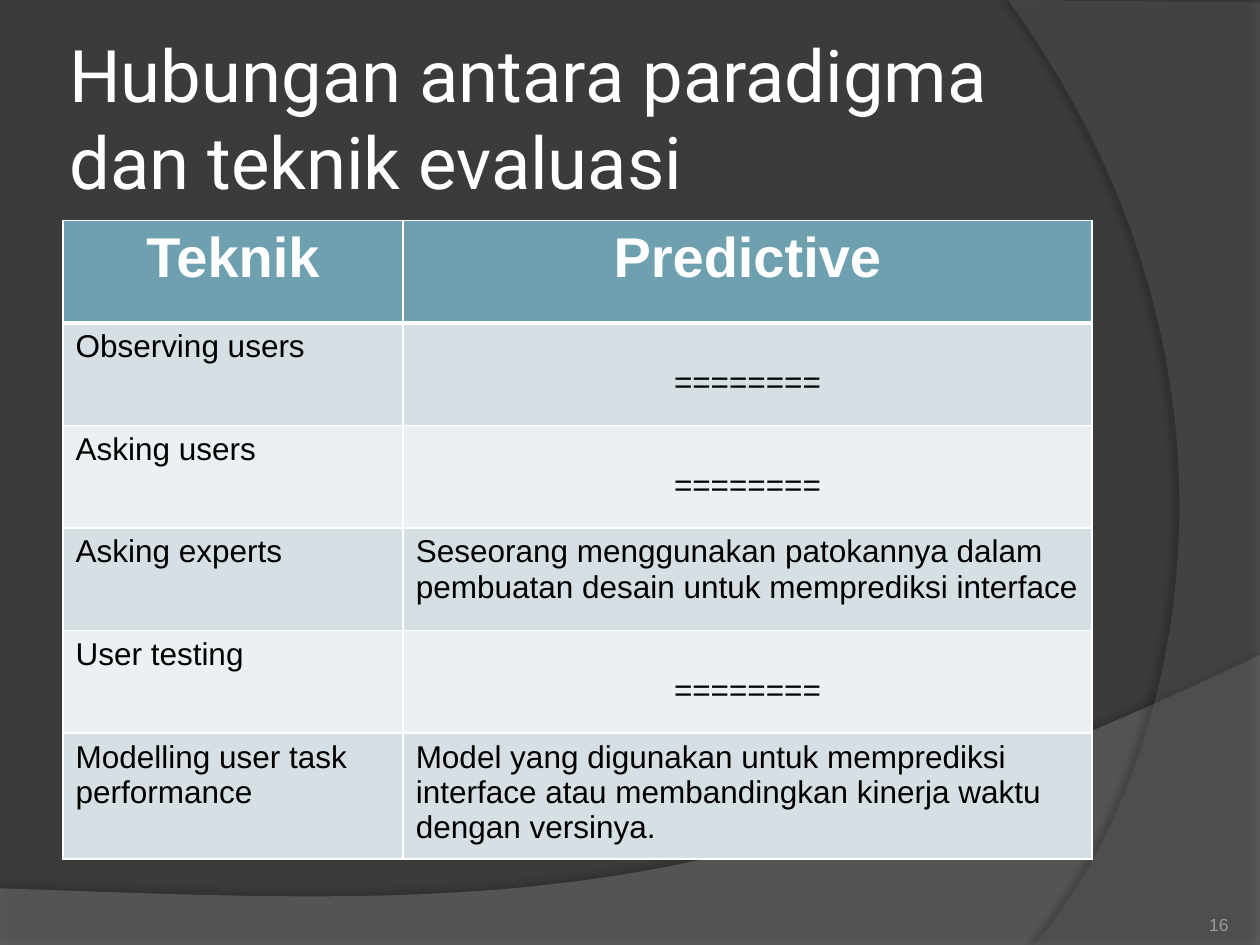
from typing import NamedTuple

from lxml.etree import SubElement
from pptx import Presentation
from pptx.dml.color import RGBColor
from pptx.enum.text import MSO_ANCHOR, MSO_AUTO_SIZE, PP_ALIGN
from pptx.oxml.ns import qn
from pptx.util import Pt

COLORS = {
    "bg": "3B3B3B", "wave": "7F7F7F", "arc": "5E5E5E", "shadow": "000000",
    "white": "FFFFFF", "text": "000000", "number": "9B9A98",
    "header": "6EA0B0", "odd": "D5DFE4", "even": "EBF0F2",
}
COL_WIDTHS = (194.4, 393.6)
ROW_HEIGHTS = (58.6,) * 5 + (72,)
NONE_MARK = "========"
Point = tuple[float, float]


class Curve(NamedTuple):
    corners: list[Point]
    bezier: tuple[Point, Point, Point, Point]
    color: str
    opacity: int
    shadow_opacity: int
    shadow_dist: float
    shadow_angle: int


class Technique(NamedTuple):
    name: str
    predictive: str = NONE_MARK


CURVES = [
    Curve([(0, 540), (720, 540)],
          ((720, 374.4), (402.5, 524.9), (281.5, 517.7), (0, 507.6)),
          "wave", 45, 35, 3.5, 270),
    Curve([(720, 1.4), (720, 540)],
          ((591, 540), (673.2, 445.7), (733, 216), (576, 0)),
          "arc", 40, 45, 4, 180),
]
TECHNIQUES = [
    Technique("Observing users"),
    Technique("Asking users"),
    Technique("Asking experts", "Seseorang menggunakan patokannya dalam "
              "pembuatan desain untuk memprediksi interface"),
    Technique("User testing"),
    Technique("Modelling user task performance", "Model yang digunakan untuk memprediksi "
              "interface atau membandingkan kinerja waktu dengan versinya."),
]


def rgb(name: str) -> RGBColor:
    return RGBColor.from_string(COLORS[name])


def add_color(parent, name: str, opacity: int = 100) -> None:
    clr = SubElement(parent, qn("a:srgbClr"), val=COLORS[name])
    if opacity < 100:
        SubElement(clr, qn("a:alpha"), val=str(opacity * 1000))


def write(tf, text: str, *, size: float, color: str, font: str = "Arial",
          bold: bool = False, align=PP_ALIGN.LEFT) -> None:
    p = tf.paragraphs[0]
    p.alignment = align
    r = p.add_run()
    r.text = text
    r.font.name, r.font.size, r.font.bold = font, Pt(size), bold
    r.font.color.rgb = rgb(color)


def set_frame(tf, margin: float, anchor) -> None:
    tf.word_wrap = True
    tf.auto_size = MSO_AUTO_SIZE.NONE
    tf.vertical_anchor = anchor
    tf.margin_left = tf.margin_right = tf.margin_top = tf.margin_bottom = Pt(margin)


def bezier_points(bezier: tuple[Point, ...], steps: int = 60) -> list[Point]:
    points = []
    for i in range(steps + 1):
        t = i / steps
        weights = ((1 - t) ** 3, 3 * t * (1 - t) ** 2, 3 * t * t * (1 - t), t ** 3)
        points.append(tuple(sum(w * c for w, c in zip(weights, axis)) for axis in zip(*bezier)))
    return points


def draw_curve(slide, curve: Curve) -> None:
    points = [(Pt(x), Pt(y)) for x, y in curve.corners + bezier_points(curve.bezier)]
    builder = slide.shapes.build_freeform(*points[0])
    builder.add_line_segments(points[1:])
    sp = builder.convert_to_shape()
    sp.line.fill.background()
    sp.fill.solid()
    sp.fill.fore_color.rgb = rgb(curve.color)
    clr = sp.fill._xPr.find(qn("a:solidFill"))[0]
    SubElement(clr, qn("a:alpha"), val=str(curve.opacity * 1000))
    sp.shadow.inherit = False
    effects = sp._element.spPr.find(qn("a:effectLst"))
    shadow = SubElement(effects, qn("a:outerShdw"), blurRad=str(Pt(4)),
                        dist=str(Pt(curve.shadow_dist)), dir=str(curve.shadow_angle * 60000))
    add_color(shadow, "shadow", curve.shadow_opacity)


def style_cell(cell, fill: str, top: float, bottom: float) -> None:
    tc_pr = cell._tc.get_or_add_tcPr()
    for side, width in (("L", 1), ("R", 1), ("T", top), ("B", bottom)):
        ln = SubElement(tc_pr, qn(f"a:ln{side}"), w=str(Pt(width)))
        add_color(SubElement(ln, qn("a:solidFill")), "white")
    cell.fill.solid()
    cell.fill.fore_color.rgb = rgb(fill)


def draw_table(slide, rows: list[Technique]) -> None:
    table = slide.shapes.add_table(len(rows) + 1, 2, Pt(36), Pt(126),
                                   Pt(sum(COL_WIDTHS)), Pt(sum(ROW_HEIGHTS))).table
    for col, width in zip(table.columns, COL_WIDTHS):
        col.width = Pt(width)
    for row, height in zip(table.rows, ROW_HEIGHTS):
        row.height = Pt(height)
    for j, text in enumerate(("Teknik", "Predictive")):
        cell = table.cell(0, j)
        style_cell(cell, "header", 1, 3)
        write(cell.text_frame, text, size=32, color="white", bold=True, align=PP_ALIGN.CENTER)
    for i, row in enumerate(rows, 1):
        for j, text in enumerate(row):
            cell = table.cell(i, j)
            style_cell(cell, "odd" if i % 2 else "even", 3 if i == 1 else 1, 1)
            is_mark = text == NONE_MARK
            if is_mark:
                cell.margin_top = Pt(24)
            write(cell.text_frame, text, size=18, color="text",
                  align=PP_ALIGN.CENTER if is_mark else PP_ALIGN.LEFT)


def main() -> None:
    """Build the slide relating evaluation techniques to the predictive paradigm."""
    prs = Presentation()
    prs.slide_width, prs.slide_height = Pt(720), Pt(540)
    slide = prs.slides.add_slide(prs.slide_layouts[5])
    slide.background.fill.solid()
    slide.background.fill.fore_color.rgb = rgb("bg")
    for curve in CURVES:
        draw_curve(slide, curve)

    title = slide.shapes.title
    title.left, title.top, title.width, title.height = Pt(36), Pt(21.6), Pt(588), Pt(90)
    set_frame(title.text_frame, 3.6, MSO_ANCHOR.MIDDLE)
    write(title.text_frame, "Hubungan antara paradigma dan teknik evaluasi",
          size=41.4, color="white", font="Roboto")
    title._element.getparent().append(title._element)

    draw_table(slide, TECHNIQUES)
    number = slide.shapes.add_textbox(Pt(642), Pt(505.4), Pt(60), Pt(28.8))
    set_frame(number.text_frame, 0, MSO_ANCHOR.BOTTOM)
    write(number.text_frame, "16", size=10, color="number", align=PP_ALIGN.RIGHT)
    prs.save("out.pptx")


if __name__ == "__main__":
    main()
